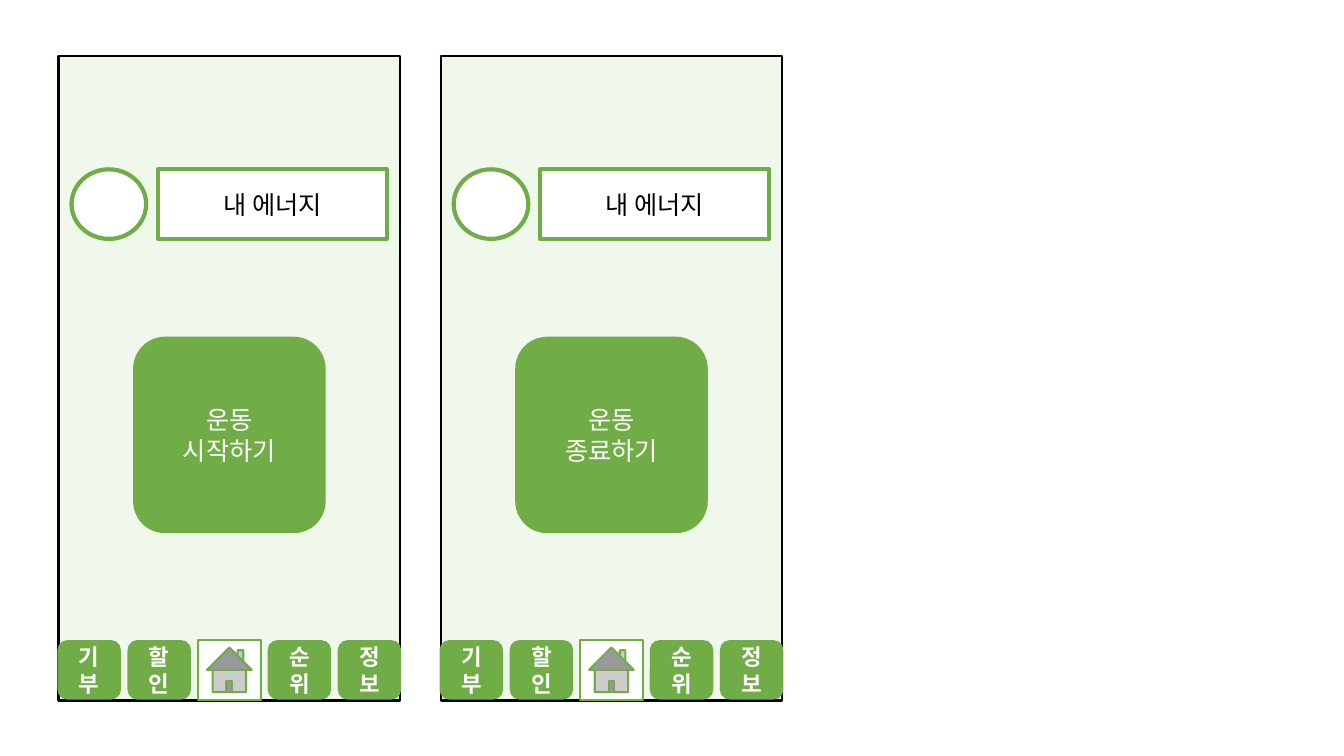
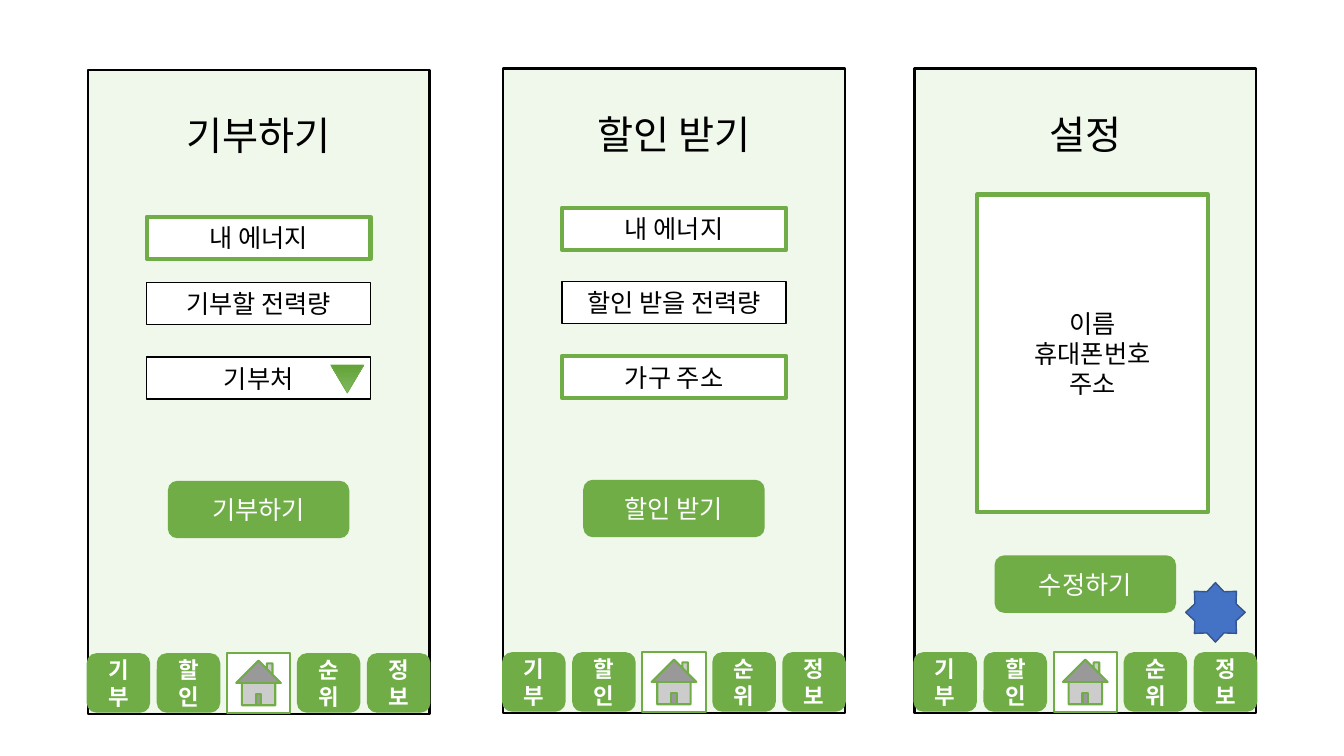
"""Builds two slides of wireframes for an energy-saving exercise app."""
from lxml import etree
from pptx import Presentation
from pptx.dml.color import RGBColor
from pptx.enum.shapes import MSO_SHAPE
from pptx.enum.text import MSO_ANCHOR, PP_ALIGN
from pptx.oxml.ns import qn
from pptx.util import Inches, Pt

RECT, ROUND, OVAL = MSO_SHAPE.RECTANGLE, MSO_SHAPE.ROUNDED_RECTANGLE, MSO_SHAPE.OVAL
HOME, STAR = MSO_SHAPE.ACTION_BUTTON_HOME, MSO_SHAPE.STAR_8_POINT
TRIANGLE = MSO_SHAPE.ISOSCELES_TRIANGLE
CENTER, MIDDLE, TOP = PP_ALIGN.CENTER, MSO_ANCHOR.MIDDLE, MSO_ANCHOR.TOP

FONT = "Noto Sans CJK KR"
GREEN, PALE, WHITE, BLACK = "70AD47", "E2F0D9", "FFFFFF", "000000"
SCREEN_W, SCREEN_H = 3.39, 6.39
TITLE_DROP = 0.41
TABS = ["기부", "할인", None, "순위", "정보"]
TAB_W, TAB_H, TAB_TOP, TAB_OVERHANG = 0.63, 0.59, 5.79, 0.01

STYLES = {
    "screen": dict(form=RECT, fill=PALE, line=BLACK, weight=1.5, size=28),
    "tab": dict(form=ROUND, fill=GREEN, color=WHITE, size=16, bold=True),
    "home": dict(form=HOME, fill=WHITE, line=GREEN, weight=1.5),
    "shown": dict(form=RECT, fill=WHITE, line=GREEN, weight=3),
    "input": dict(form=RECT, fill=WHITE, line=BLACK, weight=1),
    "avatar": dict(form=OVAL, fill=WHITE, line=GREEN, weight=3),
    "button": dict(form=ROUND, fill=GREEN, color=WHITE),
    "arrow": dict(form=TRIANGLE, fill=GREEN, line=GREEN, weight=0.5),
    "star": dict(form=STAR, fill="4472C4", line="325491", weight=1),
}

MID = None
FIELD, BUTTON = (2.22, 0.42), (1.8, 0.57)


def exercise(action):
    return [
        ("avatar", "", 0.13, 1.12, (0.74, 0.69)),
        ("shown", "내 에너지", 0.99, 1.12, (2.27, 0.69)),
        ("button", "운동\n" + action, MID, 2.78, (1.91, 1.95)),
    ]


SLIDES = [
    [
        (0.58, 0.56, "", exercise("시작하기")),
        (4.37, 0.56, "", exercise("종료하기")),
    ],
    [
        (0.87, 0.69, "기부하기", [
            ("shown", "내 에너지", MID, 1.46, FIELD),
            ("input", "기부할 전력량", MID, 2.11, FIELD),
            ("input", "기부처", MID, 2.85, FIELD),
            ("arrow", "", 2.41, 2.93, (0.33, 0.28)),
            ("button", "기부하기", MID, 4.08, BUTTON),
        ]),
        (4.99, 0.68, "할인 받기", [
            ("shown", "내 에너지", MID, 1.38, FIELD),
            ("input", "할인 받을 전력량", MID, 2.11, FIELD),
            ("shown", "가구 주소", MID, 2.85, FIELD),
            ("button", "할인 받기", MID, 4.08, BUTTON),
        ]),
        (9.07, 0.68, "설정", [
            ("shown", "이름\n휴대폰번호\n주소", 0.62, 1.25, (2.29, 3.15)),
            ("star", "", 2.69, 5.1, (0.59, 0.59)),
            ("button", "수정하기", MID, 4.83, BUTTON),
        ]),
    ],
]


def rgb(value):
    return RGBColor.from_string(value)


def write(frame, text, size, color, bold):
    frame.word_wrap = True
    frame.vertical_anchor = MIDDLE
    frame.text = text
    for paragraph in frame.paragraphs:
        paragraph.alignment = CENTER
        for run in paragraph.runs:
            run.font.name, run.font.size, run.font.bold = FONT, Pt(size), bold
            run.font.color.rgb = rgb(color)
            east_asian = etree.SubElement(run.font._element, qn("a:ea"))
            east_asian.set("typeface", FONT)


def draw(slide, style, text, x, y, extent):
    look = STYLES[style]
    item = slide.shapes.add_shape(look["form"], *map(Inches, (x, y, *extent)))
    item.shadow.inherit = False
    item.fill.solid()
    item.fill.fore_color.rgb = rgb(look["fill"])
    if "line" in look:
        item.line.color.rgb = rgb(look["line"])
        item.line.width = Pt(look["weight"])
    else:
        item.line.fill.background()
    if text:
        write(item.text_frame, text, look.get("size", 18),
              look.get("color", BLACK), look.get("bold", False))
    return item


def draw_screen(slide, left, top, title, parts):
    panel = draw(slide, "screen", title, left, top, (SCREEN_W, SCREEN_H))
    tint = panel.fill._xPr.find(qn("a:solidFill"))[0]
    etree.SubElement(tint, qn("a:alpha")).set("val", "50000")
    panel.text_frame.vertical_anchor = TOP
    panel.text_frame.margin_top = Inches(TITLE_DROP)

    for style, text, x, y, extent in parts:
        if x is MID:
            x = (SCREEN_W - extent[0]) / 2
        item = draw(slide, style, text, left + x, top + y, extent)
        if style == "arrow":
            item._element.spPr.xfrm.set("flipV", "1")
            item.fill.gradient()
            item.fill.gradient_angle = 270
            for stop, shade in zip(item.fill.gradient_stops, ("81B861", "62A336")):
                stop.color.rgb = rgb(shade)

    pitch = (SCREEN_W + 2 * TAB_OVERHANG - TAB_W) / (len(TABS) - 1)
    for index, label in enumerate(TABS):
        draw(slide, "tab" if label else "home", label,
             left - TAB_OVERHANG + index * pitch, top + TAB_TOP, (TAB_W, TAB_H))


def main():
    deck = Presentation()
    deck.slide_width, deck.slide_height = Inches(13.33), Inches(7.5)
    for screens in SLIDES:
        slide = deck.slides.add_slide(deck.slide_layouts[6])
        for screen in screens:
            draw_screen(slide, *screen)
    deck.save("out.pptx")


if __name__ == "__main__":
    main()
